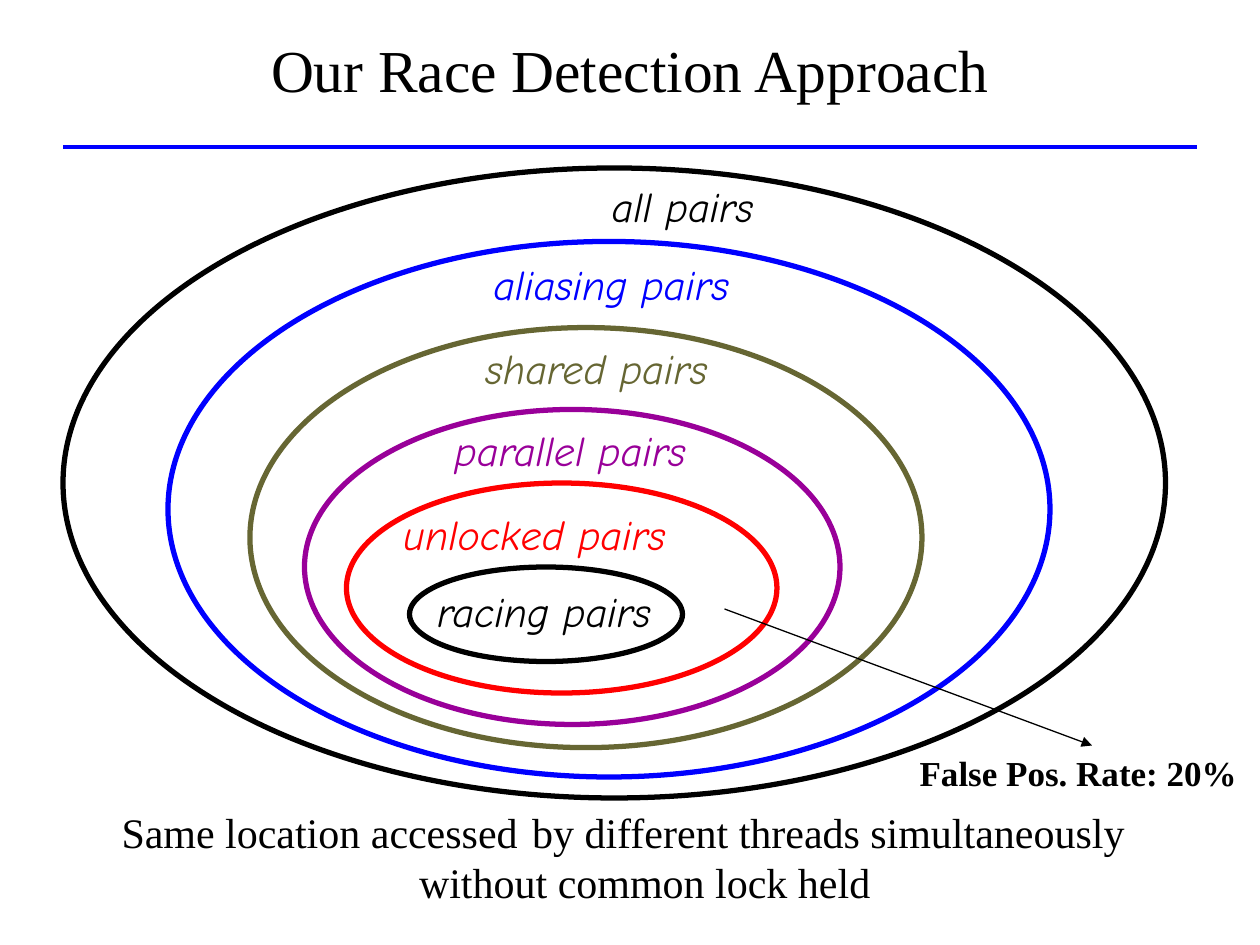
from dataclasses import dataclass

from lxml import etree
from pptx import Presentation
from pptx.dml.color import RGBColor
from pptx.enum.shapes import MSO_CONNECTOR, MSO_SHAPE
from pptx.enum.text import MSO_ANCHOR, PP_ALIGN
from pptx.oxml.ns import qn
from pptx.util import Emu, Pt

ELLIPSE = MSO_SHAPE.OVAL
STRAIGHT = MSO_CONNECTOR.STRAIGHT
LEFT, CENTER, RIGHT = PP_ALIGN.LEFT, PP_ALIGN.CENTER, PP_ALIGN.RIGHT
TOP, MIDDLE = MSO_ANCHOR.TOP, MSO_ANCHOR.MIDDLE

EMU_PER_PX = 7620  # 120 px to the inch
BLANK_LAYOUT = 6


def px(length):
    return Emu(length * EMU_PER_PX)


@dataclass(frozen=True)
class Theme:
    black: str = "000000"
    blue: str = "0000FF"
    olive: str = "666633"
    purple: str = "990099"
    red: str = "FF0000"
    serif: str = "Times New Roman"
    hand: str = "Comic Neue"
    title_size: float = 34
    body_size: float = 24
    note_size: float = 20
    ring_width: float = 3
    rule_width: float = 2.25
    arrow_width: float = 0.75


class SlideBuilder:
    def __init__(self, slide, theme):
        self.slide = slide
        self.theme = theme

    def text(self, wording, left, top, width, height, size=None, font=None,
             color=None, align=CENTER, anchor=TOP, bold=False, italic=False):
        box = self.slide.shapes.add_textbox(px(left), px(top), px(width), px(height))
        frame = box.text_frame
        frame.word_wrap = True
        frame.vertical_anchor = anchor
        paragraph = frame.paragraphs[0]
        paragraph.text = wording
        paragraph.alignment = align
        style = paragraph.font
        style.size = Pt(size or self.theme.body_size)
        style.name = font or self.theme.serif
        style.bold, style.italic = bold, italic
        style.color.rgb = RGBColor.from_string(color or self.theme.black)

    def ring(self, left, top, width, height, color):
        oval = self.slide.shapes.add_shape(ELLIPSE, px(left), px(top), px(width), px(height))
        oval.shadow.inherit = False
        oval.fill.background()
        oval.line.color.rgb = RGBColor.from_string(color)
        oval.line.width = Pt(self.theme.ring_width)

    def line(self, start, end, color, width, arrow=False):
        stroke = self.slide.shapes.add_connector(STRAIGHT, *map(px, start + end))
        stroke.line.color.rgb = RGBColor.from_string(color)
        stroke.line.width = Pt(width)
        if arrow:
            etree.SubElement(stroke.line._get_or_add_ln(), qn("a:tailEnd"), type="triangle")
        etree.SubElement(stroke._element.spPr, qn("a:effectLst"))


def main():
    theme = Theme()
    deck = Presentation()
    deck.slide_width, deck.slide_height = px(1200), px(900)
    builder = SlideBuilder(deck.slides.add_slide(deck.slide_layouts[BLANK_LAYOUT]), theme)

    # Title and rule
    builder.line((60, 140), (1140, 140), theme.blue, theme.rule_width)
    builder.text("Our Race Detection Approach", 0, 10, 1200, 110,
                 size=theme.title_size, anchor=MIDDLE)

    # Nested sets, outermost first: label, its left and top, ring box, color
    pair_sets = [
        ("all pairs", 490, 166, (60, 160, 1050, 600), theme.black),
        ("aliasing pairs", 422, 240, (160, 230, 840, 510), theme.blue),
        ("shared pairs", 408, 320, (238, 312, 640, 400), theme.olive),
        ("parallel pairs", 383, 398, (290, 390, 510, 300), theme.purple),
        ("unlocked pairs", 349, 478, (330, 460, 410, 200), theme.red),
        ("racing pairs", 358, 552, (390, 540, 260, 90), theme.black),
    ]
    for label, left, top, ring_box, color in pair_sets:
        builder.ring(*ring_box, color)
        builder.text(label, left, top, 320, 60, font=theme.hand, color=color, italic=True)

    # Definition of a race, one phrase per condition
    conditions = [
        ("Same location accessed", 104, 762, 540, LEFT),
        ("by different threads", 478, 762, 370, CENTER),
        ("simultaneously", 790, 762, 320, CENTER),
        ("without common lock held", 204, 810, 820, CENTER),
    ]
    for phrase, left, top, width, align in conditions:
        builder.text(phrase, left, top, width, 60, align=align)

    # False positive callout
    builder.text("False Pos. Rate: 20%", 810, 710, 380, 53,
                 size=theme.note_size, align=RIGHT, bold=True)
    builder.line((690, 580), (1040, 710), theme.black, theme.arrow_width, arrow=True)

    deck.save("out.pptx")


if __name__ == "__main__":
    main()
